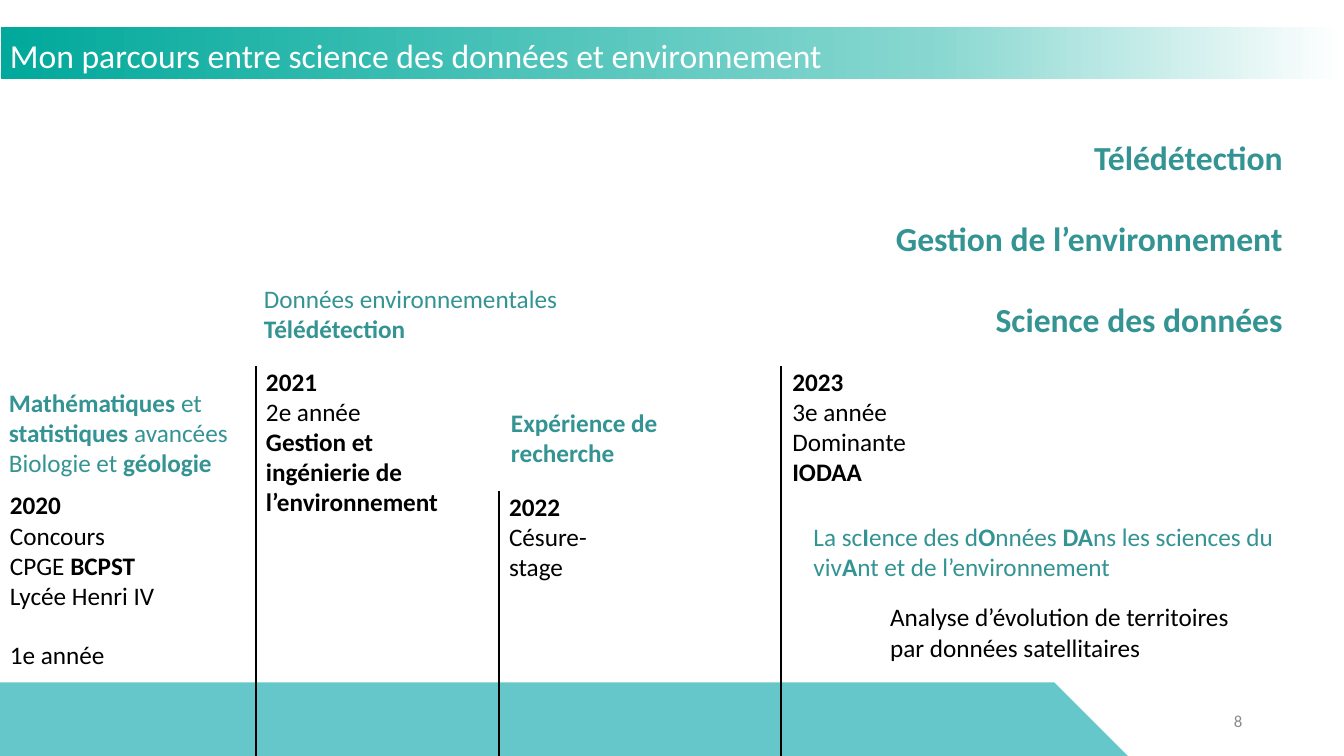
"""Build the slide on a path between data science and the environment."""
from copy import deepcopy

from lxml import etree
from pptx import Presentation
from pptx import util as u
from pptx.dml.color import RGBColor
from pptx.enum import shapes, text
from pptx.oxml import ns

TEAL, BLACK, WHITE, GREY = "349393", "000000", "FFFFFF", "8B8B8B"


def rgb(value):
    return RGBColor.from_string(value)


class Deck:
    def __init__(self, width, height, font):
        self.prs = Presentation()
        self.prs.slide_width = u.Inches(width)
        self.prs.slide_height = u.Inches(height)
        self.font = font
        self.slide = self.prs.slides.add_slide(self.prs.slide_layouts[6])

    def shape(self, kind, *at):
        sp = self.slide.shapes.add_shape(kind, *map(u.Inches, at))
        sp.shadow.inherit = False
        sp.line.fill.background()
        return sp

    def block(self, kind, at, color):
        sp = self.shape(kind, *at)
        sp.fill.solid()
        sp.fill.fore_color.rgb = rgb(color)

    def gradient(self, at, stops, angle):
        sp = self.shape(shapes.MSO_SHAPE.RECTANGLE, *at)
        sp.fill.gradient()
        sp.fill.gradient_angle = angle
        gs_list = sp._element.spPr.find(".//" + ns.qn("a:gsLst"))
        while len(gs_list) < len(stops):
            gs_list.append(deepcopy(gs_list[0]))
        for stop, (position, color) in zip(sp.fill.gradient_stops, stops):
            stop.position = position
            stop.color.rgb = rgb(color)

    def line(self, x, top, bottom):
        ends = map(u.Inches, (x, top, x, bottom))
        cx = self.slide.shapes.add_connector(shapes.MSO_CONNECTOR.STRAIGHT, *ends)
        cx.line.color.rgb = rgb(BLACK)
        cx.line.width = u.Pt(1.5)
        etree.SubElement(cx._element.spPr, ns.qn("a:effectLst"))

    def text(self, at, lines, color=BLACK, size=18, right=False, middle=False, gap=0):
        """Write lines in which asterisks enclose the bold parts."""
        tf = self.slide.shapes.add_textbox(*map(u.Inches, at)).text_frame
        tf.word_wrap = True
        if middle:
            tf.vertical_anchor = text.MSO_ANCHOR.MIDDLE
        else:
            tf.auto_size = text.MSO_AUTO_SIZE.SHAPE_TO_FIT_TEXT
        for i, line in enumerate(lines):
            p = tf.add_paragraph() if i else tf.paragraphs[0]
            if right:
                p.alignment = text.PP_ALIGN.RIGHT
            if i and gap:
                p.space_before = u.Pt(gap)
            for j, part in enumerate(line.split("*")):
                if part:
                    r = p.add_run()
                    r.text = part
                    r.font.name = self.font
                    r.font.size = u.Pt(size)
                    r.font.bold = j % 2 == 1
                    r.font.color.rgb = rgb(color)


def main():
    deck = Deck(13.33, 7.5, "Calibri")
    deck.gradient((0.01, 0.27, 13.33, 0.51),
                  [(0, WHITE), (0.31, "87D7D0"), (1, "00A99B")], 180)
    deck.text((9.42, 6.95, 3, 0.4), ["8"], GREY, 12, right=True, middle=True)
    deck.block(shapes.MSO_SHAPE.PENTAGON, (0, 6.77, 11.19, 1.47), "65C7C9")
    deck.text((0, 0.3, 11.3, 0.5),
              ["Mon parcours entre science des données et environnement"],
              WHITE, 24, middle=True)

    for x, top in [(2.54, 3.63), (4.95, 4.87), (7.75, 3.63)]:
        deck.line(x, top, 7.5)

    steps = [
        ((0, 4.81, 1.76, 1.31),
         ["*2020*", "Concours", "CPGE *BCPST*", "Lycée Henri IV"]),
        ((0, 6.29, 1.64, 0.4), ["1e année"]),
        ((2.54, 3.58, 2.2, 1.62),
         ["*2021*", "2e année", "*Gestion et ingénierie de l’environnement*"]),
        ((4.95, 4.82, 1.38, 1.01), ["*2022*", "Césure-stage"]),
        ((7.76, 3.58, 1.87, 1.31), ["*2023*", "3e année", "Dominante *IODAA*"]),
        ((8.73, 5.92, 3.78, 0.71),
         ["Analyse d’évolution de territoires par données satellitaires"]),
    ]
    for at, lines in steps:
        deck.text(at, lines)

    skills = [
        ((-0.01, 3.79, 2.53, 1.01),
         ["*Mathématiques* et *statistiques* avancées", "Biologie et *géologie*"]),
        ((2.52, 2.76, 3.16, 0.71), ["Données environnementales", "*Télédétection*"]),
        ((4.97, 3.99, 2.53, 0.71), ["*Expérience de recherche*"]),
        ((7.97, 5.12, 4.97, 0.71),
         ["La sc*I*ence des d*O*nnées *DA*ns les sciences du viv*A*nt "
          "et de l’environnement"]),
    ]
    for at, lines in skills:
        deck.text(at, lines, TEAL)

    deck.text((7.5, 1.31, 5.32, 2.12),
              ["*Télédétection*", "*Gestion de l’environnement*",
               "*Science des données*"],
              TEAL, 24, right=True, gap=29)
    deck.prs.save("out.pptx")


if __name__ == "__main__":
    main()
